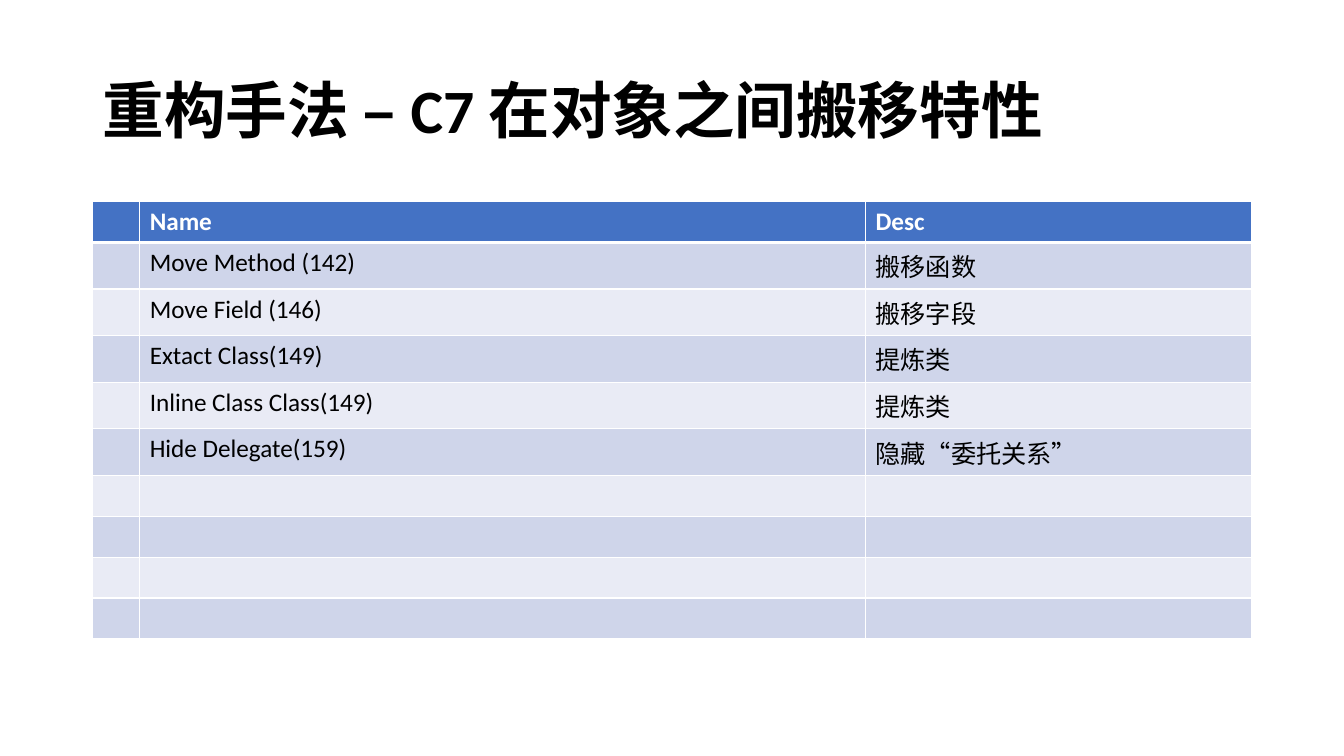
from dataclasses import dataclass

from lxml import etree
from pptx import Presentation
from pptx.dml.color import RGBColor
from pptx.enum import text
from pptx.oxml import ns
from pptx.util import Cm, Pt


@dataclass(frozen=True)
class Theme:
    font: str = "Calibri"
    title_size: int = 44
    table_size: int = 18
    ink: str = "000000"
    paper: str = "FFFFFF"
    header: str = "4472C4"
    bands: tuple[str, str] = ("CFD5EA", "E9EBF5")
    rule: float = 1
    header_rule: float = 3


@dataclass(frozen=True)
class Refactoring:
    name: str = ""
    description: str = ""


THEME = Theme()
REFACTORINGS = [
    Refactoring("Move Method (142)", "搬移函数"),
    Refactoring("Move Field (146)", "搬移字段"),
    Refactoring("Extact Class(149)", "提炼类"),
    Refactoring("Inline Class Class(149)", "提炼类"),
    Refactoring("Hide Delegate(159)", "隐藏“委托关系”"),
]
BLANK_ROWS = 4
COLUMN_WIDTHS = (1.19, 18.29, 9.73)
ROW_HEIGHT = 1.03
LEFT, WIDTH = 2.33, sum(COLUMN_WIDTHS)


def style_paragraph(paragraph, size: float, color: str, bold: bool) -> None:
    font = paragraph.font
    font.name = THEME.font
    font.size = Pt(size)
    font.bold = bold
    font.color.rgb = RGBColor.from_string(color)


def add_border(cell, side: str, width: float) -> None:
    properties = cell._tc.get_or_add_tcPr()
    line = etree.SubElement(properties, ns.qn(f"a:ln{side}"), w=str(Pt(width)))
    fill = etree.SubElement(line, ns.qn("a:solidFill"))
    etree.SubElement(fill, ns.qn("a:srgbClr"), val=THEME.paper)


def fill_cell(cell, content: str, row: int) -> None:
    is_header = row == 0
    # Borders come before the fill in the cell properties
    for side in "LRT":
        heavy = side == "T" and row == 1
        add_border(cell, side, THEME.header_rule if heavy else THEME.rule)
    add_border(cell, "B", THEME.header_rule if is_header else THEME.rule)
    cell.fill.solid()
    color = THEME.header if is_header else THEME.bands[(row - 1) % 2]
    cell.fill.fore_color.rgb = RGBColor.from_string(color)
    cell.text = content
    style_paragraph(cell.text_frame.paragraphs[0], THEME.table_size,
                    THEME.paper if is_header else THEME.ink, is_header)


def add_title(slide, content: str) -> None:
    title = slide.shapes.title
    title.left, title.top = Cm(LEFT), Cm(1.01)
    title.width, title.height = Cm(WIDTH), Cm(3.68)
    frame = title.text_frame
    frame.text = content
    frame.word_wrap = True
    frame.auto_size = text.MSO_AUTO_SIZE.NONE
    frame.vertical_anchor = text.MSO_ANCHOR.MIDDLE
    paragraph = frame.paragraphs[0]
    paragraph.alignment = text.PP_ALIGN.LEFT
    paragraph.line_spacing = 0.9
    style_paragraph(paragraph, THEME.title_size, THEME.ink, True)


def add_refactoring_table(slide, entries: list[Refactoring]) -> None:
    table = slide.shapes.add_table(
        len(entries), len(COLUMN_WIDTHS), Cm(LEFT), Cm(5.08),
        Cm(WIDTH), Cm(ROW_HEIGHT * len(entries))).table
    for column, width in zip(table.columns, COLUMN_WIDTHS):
        column.width = Cm(width)
    for row, entry in enumerate(entries):
        table.rows[row].height = Cm(ROW_HEIGHT)
        for column, content in enumerate(("", entry.name, entry.description)):
            fill_cell(table.cell(row, column), content, row)


def main() -> None:
    presentation = Presentation()
    presentation.slide_width, presentation.slide_height = Cm(33.87), Cm(19.05)
    slide = presentation.slides.add_slide(presentation.slide_layouts[5])

    # Title
    add_title(slide, "重构手法 – C7 在对象之间搬移特性")

    # Table: header, refactorings, then empty rows
    header = Refactoring("Name", "Desc")
    add_refactoring_table(
        slide, [header, *REFACTORINGS, *[Refactoring()] * BLANK_ROWS])

    presentation.save("out.pptx")


if __name__ == "__main__":
    main()
